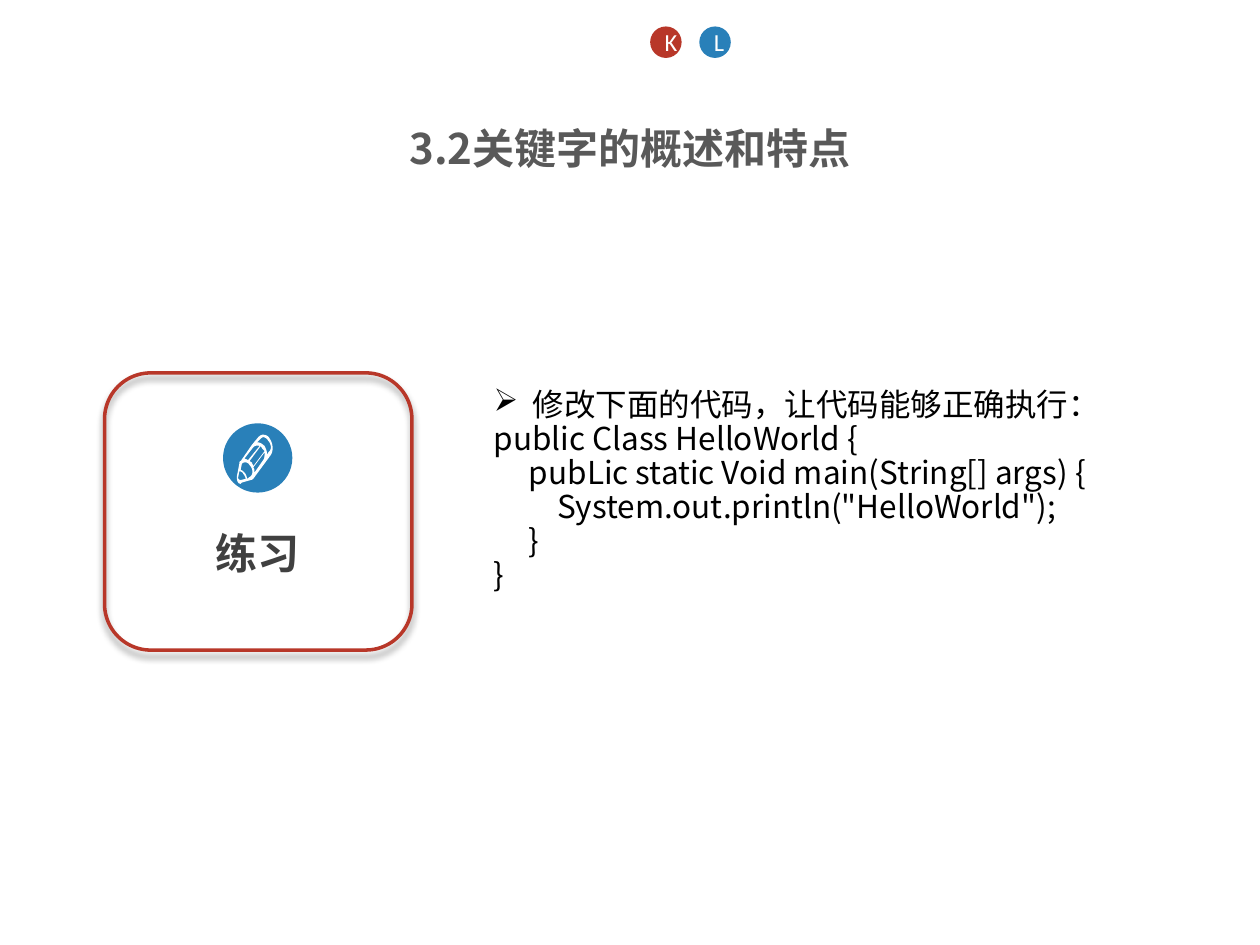
from dataclasses import dataclass

import pptx
import pptx.dml.color
import pptx.enum.shapes
import pptx.enum.text
import pptx.oxml
import pptx.oxml.ns
import pptx.util

Inches, Pt = pptx.util.Inches, pptx.util.Pt
SHAPE = pptx.enum.shapes.MSO_SHAPE
ANCHOR = pptx.enum.text.MSO_ANCHOR
ALIGN = pptx.enum.text.PP_ALIGN
RED, BLUE, WHITE, BLACK = "B83729", "2980B9", "FFFFFF", "000000"
CJK = "Noto Sans CJK SC"


@dataclass(frozen=True)
class Badge:
    left: float
    top: float
    size: float
    fill: str
    letter: str = ""


@dataclass(frozen=True)
class TextStyle:
    size: float
    color: str
    font: str = CJK
    bold: bool = False


BADGES = [
    Badge(5.16, 0.21, 0.25, RED, "K"),
    Badge(5.55, 0.21, 0.25, BLUE, "L"),
    Badge(1.77, 3.36, 0.55, BLUE),
]
EXERCISE = "修改下面的代码，让代码能够正确执行："
CODE = [
    "public Class HelloWorld {",
    "     pubLic static Void main(String[] args) {",
    '         System.out.println("HelloWorld");',
    "     }",
    "}",
]

# Pencil contours in hundredths of an inch: a start point, then straight
# segments (x, y) or cubic curves (x1, y1, x2, y2, x, y).
PENCIL = [
    [(26, 3), (25, 1, 23, 0, 21, 0), (19, 0, 18, 1, 17, 2), (12, 8), (3, 21),
     (2, 21, 2, 22, 2, 23), (0, 33), (0, 33, 0, 34, 0, 34), (0, 37, 1, 39, 3, 39),
     (3, 39, 4, 38, 4, 38), (11, 36), (12, 36, 13, 35, 13, 35), (27, 16),
     (29, 13, 29, 7, 26, 3)],
    [(25, 14), (24, 16), (24, 13, 23, 11, 22, 9), (20, 7, 18, 6, 16, 6), (18, 4),
     (19, 3, 20, 2, 21, 2), (22, 2, 24, 3, 25, 5), (26, 6, 27, 8, 27, 10),
     (27, 12, 26, 13, 25, 14)],
    [(8, 35), (8, 33, 7, 31, 6, 30), (5, 29, 4, 28, 3, 28), (4, 23),
     (6, 21, 9, 22, 10, 24), (13, 27, 13, 31, 11, 33), (8, 35)],
    [(3, 36), (2, 36, 1, 35, 1, 34), (2, 29), (3, 29, 5, 30, 5, 31),
     (6, 32, 7, 34, 7, 35), (3, 36)],
    [(9, 20), (8, 20, 7, 19, 6, 19), (13, 10), (14, 9, 16, 8, 18, 9), (9, 20)],
    [(13, 25), (13, 24, 12, 23, 12, 22), (11, 22, 11, 21, 10, 21), (19, 9),
     (19, 10, 20, 10, 20, 11), (21, 12, 21, 12, 22, 13), (13, 25)],
    [(14, 29), (14, 28, 14, 27, 13, 26), (22, 14), (22, 16, 22, 19, 21, 20),
     (14, 30), (14, 29)],
]


def rgb(value: str) -> pptx.dml.color.RGBColor:
    return pptx.dml.color.RGBColor.from_string(value)


def add_run(paragraph, text: str, style: TextStyle) -> None:
    run = paragraph.add_run()
    run.text = text
    font = run.font
    font.name, font.size, font.bold = style.font, Pt(style.size), style.bold
    font.color.rgb = rgb(style.color)
    east_asian = pptx.oxml.parse_xml(
        f'<a:ea {pptx.oxml.ns.nsdecls("a")} typeface="{style.font}"/>')
    font._element.find(pptx.oxml.ns.qn("a:latin")).addnext(east_asian)


def add_bullet(paragraph, char: str, indent: float) -> None:
    properties = paragraph._p.get_or_add_pPr()
    properties.set("marL", str(Inches(indent)))
    properties.set("indent", str(-Inches(indent)))
    properties.append(pptx.oxml.parse_xml(
        f'<a:buChar {pptx.oxml.ns.nsdecls("a")} char="{char}"/>'))


def add_title(slide) -> None:
    title = slide.shapes.title
    title.left, title.top = Inches(0), Inches(0.92)
    title.width, title.height = Inches(10), Inches(0.47)
    frame = title.text_frame
    frame.auto_size = pptx.enum.text.MSO_AUTO_SIZE.NONE
    frame.vertical_anchor = ANCHOR.TOP
    paragraph = frame.paragraphs[0]
    paragraph.alignment = ALIGN.CENTER
    add_run(paragraph, "3.2关键字的概述和特点", TextStyle(24, "595959", bold=True))


def add_text_box(slide, left: float, top: float, width: float, height: float,
                 lines: list[str], style: TextStyle, wrap: bool = True):
    box = slide.shapes.add_textbox(*map(Inches, (left, top, width, height)))
    frame = box.text_frame
    frame.word_wrap = wrap
    for index, line in enumerate(lines):
        paragraph = frame.add_paragraph() if index else frame.paragraphs[0]
        paragraph.line_spacing = 0.9
        add_run(paragraph, line, style)
    return frame


def add_badge(slide, badge: Badge) -> None:
    circle = slide.shapes.add_shape(
        SHAPE.OVAL, *map(Inches, (badge.left, badge.top, badge.size, badge.size)))
    circle.shadow.inherit = False
    circle.fill.solid()
    circle.fill.fore_color.rgb = rgb(badge.fill)
    circle.line.fill.background()
    if badge.letter:
        circle.text_frame.vertical_anchor = ANCHOR.MIDDLE
        paragraph = circle.text_frame.paragraphs[0]
        paragraph.alignment = ALIGN.CENTER
        add_run(paragraph, badge.letter, TextStyle(14, WHITE, "Calibri"))


def flatten(contour: list[tuple], steps: int = 6) -> list[tuple]:
    """Turn the curves of a contour into short straight segments."""
    points = [contour[0]]
    for segment in contour[1:]:
        if len(segment) == 2:
            points.append(segment)
            continue
        start = points[-1]
        for t in (step / steps for step in range(1, steps + 1)):
            u = 1 - t
            points.append(tuple(
                u**3 * start[i] + 3 * u * u * t * segment[i]
                + 3 * u * t * t * segment[i + 2] + t**3 * segment[i + 4]
                for i in (0, 1)))
    return points


def add_pencil(slide, left: float, top: float) -> None:
    builder = None
    for contour in PENCIL:
        points = [(Inches(left + x / 100), Inches(top + y / 100))
                  for x, y in flatten(contour)]
        if builder is None:
            builder = slide.shapes.build_freeform(*points[0])
        else:
            builder.move_to(*points[0])
        builder.add_line_segments(points[1:], close=True)
    pencil = builder.convert_to_shape()
    pencil.shadow.inherit = False
    pencil.fill.solid()
    pencil.fill.fore_color.rgb = rgb(WHITE)
    pencil.line.fill.background()


def add_card(slide) -> None:
    card = slide.shapes.add_shape(
        SHAPE.ROUNDED_RECTANGLE, *map(Inches, (0.83, 2.96, 2.44, 2.2)))
    card.fill.background()
    card.line.color.rgb = rgb(RED)
    card.line.width = Pt(2)
    card.shadow.inherit = False
    effects = card._element.spPr.find(pptx.oxml.ns.qn("a:effectLst"))
    effects.append(pptx.oxml.parse_xml(
        f'<a:outerShdw {pptx.oxml.ns.nsdecls("a")} blurRad="{Pt(4)}" dist="{Pt(3)}" '
        f'dir="5400000" rotWithShape="0"><a:srgbClr val="{BLACK}">'
        '<a:alpha val="40000"/></a:srgbClr></a:outerShdw>'))


def main() -> None:
    deck = pptx.Presentation()
    deck.slide_width, deck.slide_height = Inches(10), Inches(7.5)
    slide = deck.slides.add_slide(deck.slide_layouts[5])
    add_title(slide)
    exercise = add_text_box(slide, 3.82, 3.04, 6.34, 2.04, [EXERCISE, *CODE],
                            TextStyle(18, BLACK))
    add_bullet(exercise.paragraphs[0], "➢", 0.31)
    add_text_box(slide, 1.61, 4.18, 0.87, 0.45, ["练习"],
                 TextStyle(24, "404040", bold=True), wrap=False)
    for badge in BADGES:
        add_badge(slide, badge)
    add_pencil(slide, 1.88, 3.45)
    add_card(slide)
    deck.save("out.pptx")


if __name__ == "__main__":
    main()
